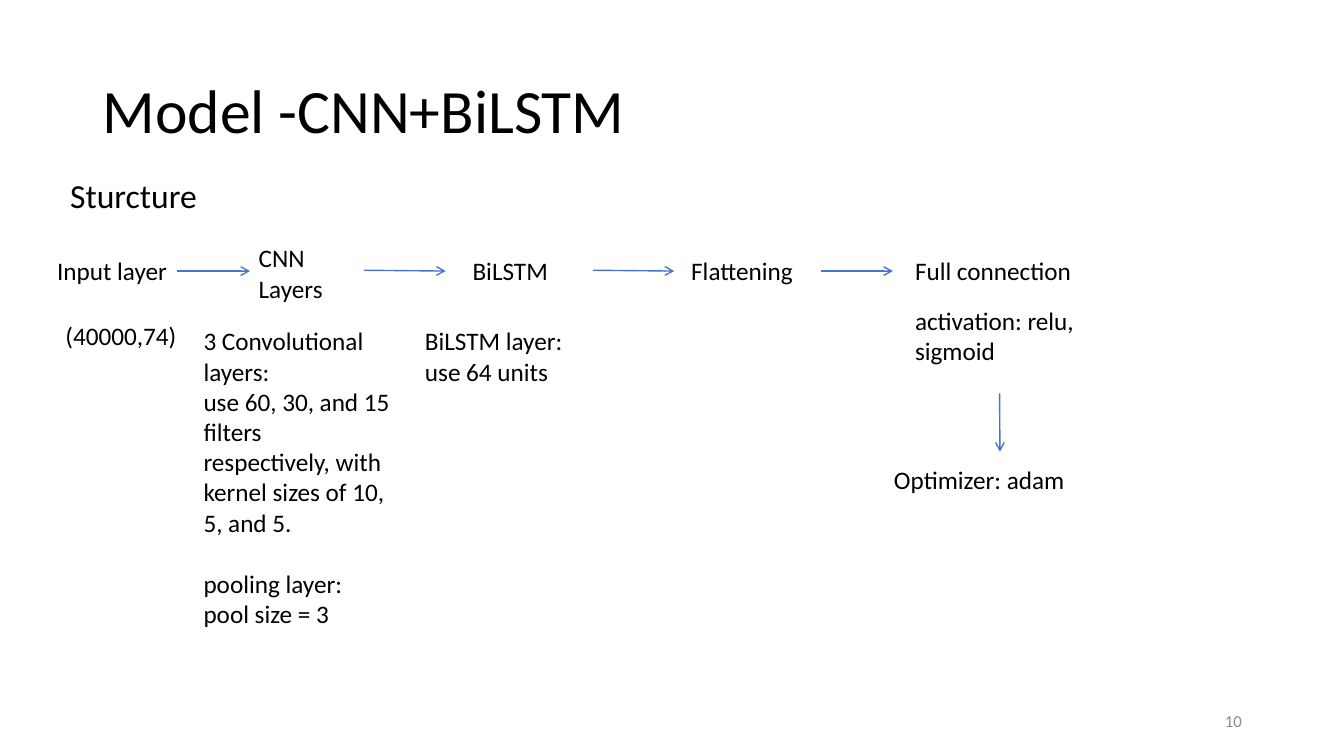
from dataclasses import dataclass

from lxml.etree import SubElement
from pptx import Presentation
from pptx.dml.color import RGBColor
from pptx.enum.shapes import MSO_CONNECTOR
from pptx.enum.text import MSO_ANCHOR, PP_ALIGN
from pptx.oxml.ns import qn
from pptx.util import Cm, Pt


@dataclass(frozen=True)
class Theme:
    font: str = "Calibri"
    ink: RGBColor = RGBColor(0x00, 0x00, 0x00)
    muted: RGBColor = RGBColor(0x8C, 0x8C, 0x8C)
    arrow: RGBColor = RGBColor(0x48, 0x74, 0xCB)
    title: int = 44
    heading: int = 24
    body: int = 18
    footer: int = 12


THEME = Theme()
LINE_H = 1.02
STAGE_TOP = 6.32
ARROW_Y = 6.83

# left, top, width, height, text
STAGES = [
    (1.19, STAGE_TOP, 3.3, LINE_H, "Input layer"),
    (6.27, 5.99, 3.25, 1.8, "CNN Layers"),
    (11.66, STAGE_TOP, 3.28, LINE_H, "BiLSTM"),
    (17.17, STAGE_TOP, 3.71, LINE_H, "Flattening"),
    (22.81, STAGE_TOP, 7.9, LINE_H, "Full connection"),
]
DETAILS = [
    (1.4, 7.95, 4.88, LINE_H, "(40000,74)"),
    (10.46, 8.08, 5.51, 3.68, "BiLSTM layer:\nuse 64 units"),
    (22.81, 7.57, 5.28, 1.8, "activation: relu, sigmoid"),
    (22.28, 11.58, 7.9, LINE_H, "Optimizer: adam"),
]
CNN_DETAIL = (
    "3 Convolutional layers:\n"
    "use 60, 30, and 15 filters respectively, with kernel sizes of 10, 5, and 5.\n"
    "pooling layer:\vpool size = 3"
)
# start x, start y, end x, end y
ARROWS = [
    (4.47, ARROW_Y, 6.3, ARROW_Y),
    (9.17, 6.81, 11.23, ARROW_Y),
    (14.94, 6.81, 16.99, ARROW_Y),
    (20.7, ARROW_Y, 22.5, ARROW_Y),
    (25.19, 9.91, 25.2, 11.38),
]


def add_text(slide, left, top, width, height, text, size=THEME.body,
             color=THEME.ink, anchor=MSO_ANCHOR.TOP, align=PP_ALIGN.LEFT):
    sp = slide.shapes.add_textbox(Cm(left), Cm(top), Cm(width), Cm(height))
    tf = sp.text_frame
    tf.word_wrap = True
    tf.vertical_anchor = anchor
    tf.text = text
    for p in tf.paragraphs:
        p.alignment = align
        for r in p.runs:
            r.font.name = THEME.font
            r.font.size = Pt(size)
            r.font.color.rgb = color
    return tf


def add_arrow(slide, x1, y1, x2, y2):
    line = slide.shapes.add_connector(
        MSO_CONNECTOR.STRAIGHT, Cm(x1), Cm(y1), Cm(x2), Cm(y2))
    line.line.color.rgb = THEME.arrow
    line.line.width = Pt(1)
    SubElement(line.line._get_or_add_ln(), qn("a:tailEnd"), type="arrow")
    SubElement(line._element.spPr, qn("a:effectLst"))


def main():
    prs = Presentation()
    prs.slide_width, prs.slide_height = Cm(33.87), Cm(19.05)
    s = prs.slides.add_slide(prs.slide_layouts[6])

    title = add_text(s, 2.34, 1.02, 29.21, 3.68, "Model -CNN+BiLSTM",
                     THEME.title, anchor=MSO_ANCHOR.MIDDLE)
    title.paragraphs[0].line_spacing = 0.9
    add_text(s, 1.52, 4.29, 24.87, 1.27, "Sturcture", THEME.heading)

    for box in STAGES + DETAILS:
        add_text(s, *box)
    cnn = add_text(s, 4.88, 8.08, 5.26, 8.84, CNN_DETAIL)
    cnn.paragraphs[-1].space_before = Pt(22)

    for ends in ARROWS:
        add_arrow(s, *ends)

    add_text(s, 23.93, 17.65, 7.62, LINE_H, "10", THEME.footer, THEME.muted,
             MSO_ANCHOR.MIDDLE, PP_ALIGN.RIGHT)
    prs.save("out.pptx")


if __name__ == "__main__":
    main()
